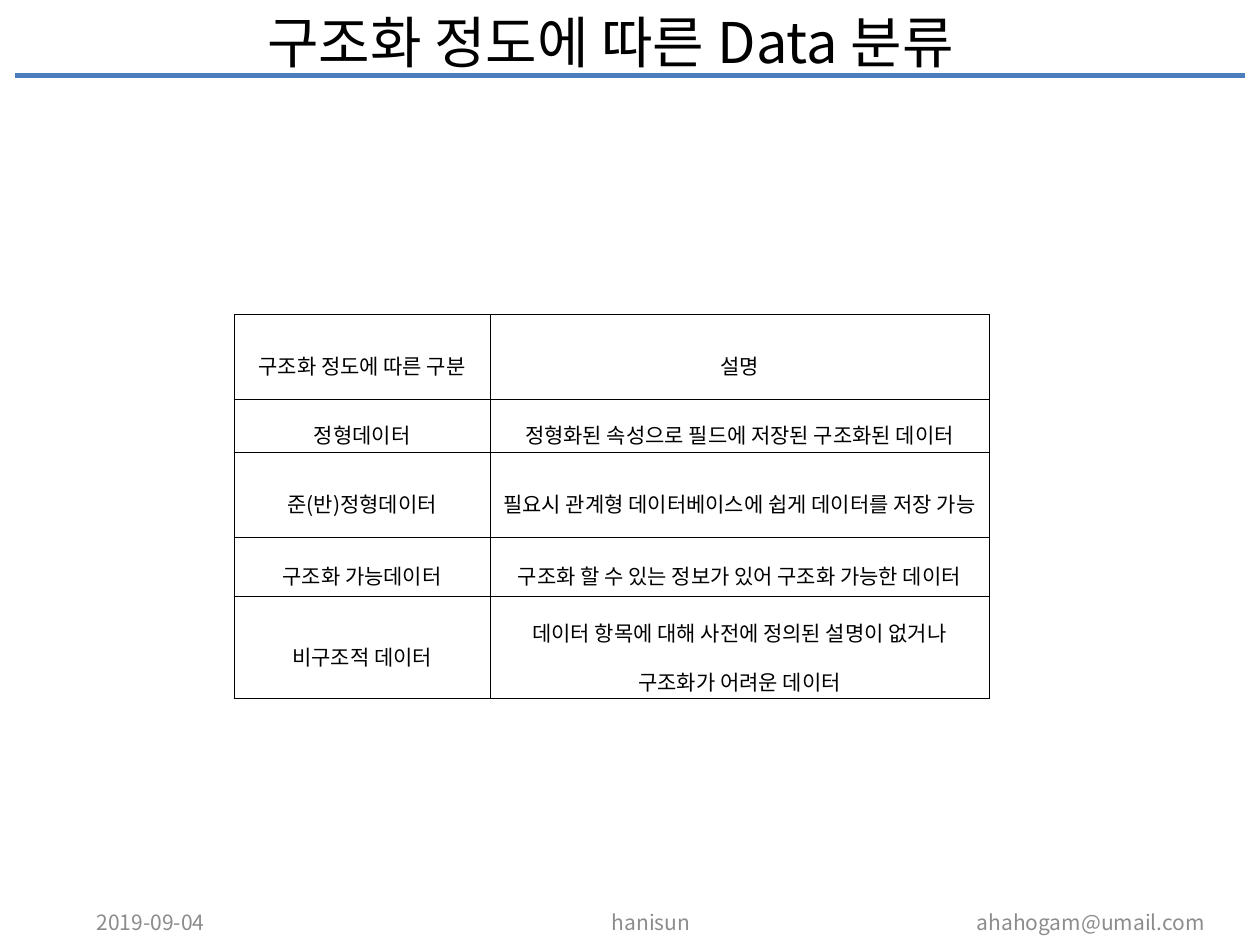
from lxml.etree import SubElement
from pptx import Presentation
from pptx.dml.color import RGBColor
from pptx.enum.shapes import MSO_CONNECTOR
from pptx.enum.text import MSO_ANCHOR, PP_ALIGN as AL
from pptx.oxml.ns import qn
from pptx.util import Cm, Pt


def rgb(value):
    return RGBColor.from_string(value)


def write(tf, text, size=12, color="000000", font="Noto Sans CJK KR",
          align=AL.CENTER, spacing=None):
    tf.word_wrap = True
    p = tf.paragraphs[0]
    p.alignment = align
    if spacing:
        p.line_spacing = spacing
    r = p.add_run()
    r.text = text
    r.font.size = Pt(size)
    r.font.name = font
    r.font.color.rgb = rgb(color)
    SubElement(r.font._element, qn("a:ea"), typeface=font)


class SlideBuilder:
    accent = "4B7EBC"
    muted = "8C8C8C"
    border = "000000"

    def __init__(self, slide):
        self.s = slide

    def text(self, text, x, y, w, h, **fmt):
        tf = self.s.shapes.add_textbox(Cm(x), Cm(y), Cm(w), Cm(h)).text_frame
        tf.vertical_anchor = MSO_ANCHOR.MIDDLE
        write(tf, text, **fmt)

    def rule(self, x1, x2, y, width):
        line = self.s.shapes.add_connector(
            MSO_CONNECTOR.STRAIGHT, Cm(x1), Cm(y), Cm(x2), Cm(y))
        line.line.color.rgb = rgb(self.accent)
        line.line.width = Pt(width)
        SubElement(line._element.spPr, qn("a:effectLst"))

    def outline(self, cell):
        tc_pr = cell._tc.get_or_add_tcPr()
        for side in ("lnL", "lnR", "lnT", "lnB"):
            ln = SubElement(tc_pr, qn(f"a:{side}"), w=str(Pt(0.28)))
            fill = SubElement(ln, qn("a:solidFill"))
            SubElement(fill, qn("a:srgbClr"), val=self.border)

    def table(self, rows, x, y, widths, heights):
        table = self.s.shapes.add_table(
            len(rows), len(widths), Cm(x), Cm(y),
            Cm(sum(widths)), Cm(sum(heights))).table
        table.first_row = table.horz_banding = False
        for column, width in zip(table.columns, widths):
            column.width = Cm(width)
        for row, height, texts in zip(table.rows, heights, rows):
            row.height = Cm(height)
            for cell, text in zip(row.cells, texts):
                cell.margin_left = cell.margin_right = Cm(0.18)
                cell.margin_top = cell.margin_bottom = Cm(0.05)
                cell.vertical_anchor = MSO_ANCHOR.MIDDLE
                self.outline(cell)
                cell.fill.background()
                write(cell.text_frame, text, spacing=1.6)


prs = Presentation()
prs.slide_width, prs.slide_height = Cm(25.4), Cm(19.05)
page = SlideBuilder(prs.slides.add_slide(prs.slide_layouts[6]))

page.rule(0.3, 25.1, 1.52, 3)
footers = [
    ("2019-09-04", 1.7, 5.92, AL.LEFT),
    ("hanisun", 9.1, 8.05, AL.CENTER),
    ("ahahogam@umail.com", 18.62, 5.92, AL.RIGHT),
]
for text, x, width, align in footers:
    page.text(text, x, 18.08, width, 1.02, color=page.muted, align=align)
page.text("구조화 정도에 따른 Data 분류", 0.5, 0.33, 23.62, 1, size=32)

data_types = [
    ("구조화 정도에 따른 구분", "설명"),
    ("정형데이터", "정형화된 속성으로 필드에 저장된 구조화된 데이터"),
    ("준(반)정형데이터", "필요시 관계형 데이터베이스에 쉽게 데이터를 저장 가능"),
    ("구조화 가능데이터", "구조화 할 수 있는 정보가 있어 구조화 가능한 데이터"),
    ("비구조적 데이터",
     "데이터 항목에 대해 사전에 정의된 설명이 없거나 구조화가 어려운 데이터"),
]
page.table(data_types, 4.72, 6.34, [5.16, 10.06], [1.7, 1.08, 1.7, 1.2, 2.06])

prs.save("out.pptx")
